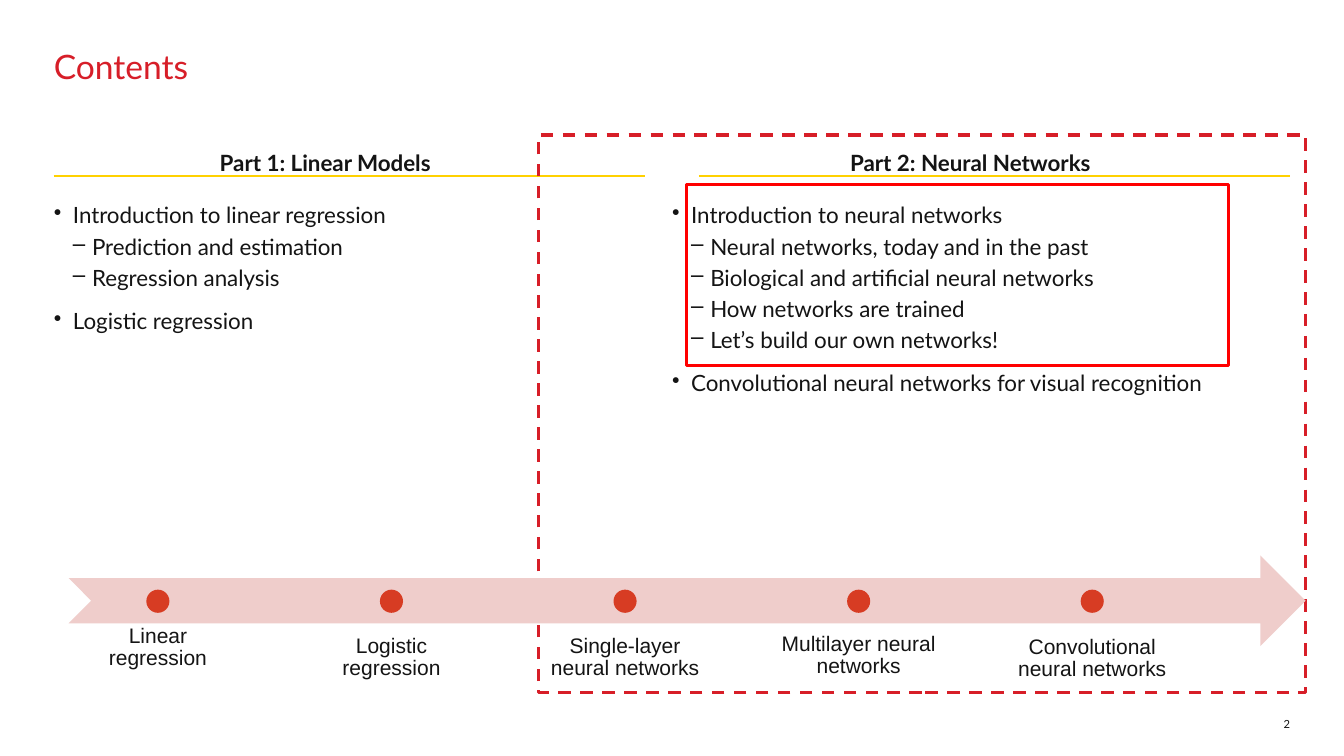
import dataclasses

import lxml.etree
import pptx
import pptx.dml.color
import pptx.enum.dml
import pptx.enum.shapes
import pptx.enum.text
import pptx.oxml.ns
import pptx.util

Kind = pptx.enum.shapes.MSO_SHAPE
Side = pptx.enum.text.PP_ALIGN
Edge = pptx.enum.text.MSO_ANCHOR
qn = pptx.oxml.ns.qn


@dataclasses.dataclass(frozen=True)
class Theme:
    """Colours, fonts and type sizes of the slide."""
    ink: str = "141414"
    brand: str = "D71E28"
    gold: str = "FFD100"
    band: str = "EFCDCB"
    dot: str = "D73C23"
    alert: str = "FF0000"
    main: str = "Lato"
    plain: str = "Arial"
    head: int = 24
    body: int = 16
    label: int = 15
    small: int = 8


class Deck:
    """Draws on one slide with a grid of 100 columns by 75 rows."""

    def __init__(self, theme):
        """Start a wide deck with one title-only slide."""
        self.theme = theme
        self.file = pptx.Presentation()
        self.file.slide_width = pptx.util.Inches(13.333)
        self.file.slide_height = pptx.util.Inches(7.5)
        self.slide = self.file.slides.add_slide(self.file.slide_layouts[5])
        self.shapes = self.slide.shapes

    def grid(self, x, y):
        """Turn columns and rows into lengths."""
        return int(self.file.slide_width * x / 100), int(self.file.slide_height * y / 75)

    def area(self, x, y, w, h):
        """Turn a grid box into left, top, width and height."""
        return self.grid(x, y) + self.grid(w, h)

    def tint(self, name):
        """Give a colour object."""
        return pptx.dml.color.RGBColor.from_string(name)

    def style(self, line, size, color=None, face=None, bold=False):
        """Format the runs of a paragraph."""
        for run in line.runs:
            run.font.size = pptx.util.Pt(size)
            run.font.name = face or self.theme.main
            run.font.bold = bold
            run.font.color.rgb = self.tint(color or self.theme.ink)

    def frame(self, shape, inset=0, edge=Edge.TOP):
        """Set wrapping, insets and anchor of a text frame."""
        frame = shape.text_frame
        frame.word_wrap = True
        frame.auto_size = pptx.enum.text.MSO_AUTO_SIZE.NONE
        frame.vertical_anchor = edge
        gap = pptx.util.Inches(inset)
        frame.margin_left = frame.margin_right = gap
        frame.margin_top = frame.margin_bottom = gap
        return frame

    def title(self, text, box):
        """Place the title."""
        shape = self.shapes.title
        shape.left, shape.top, shape.width, shape.height = self.area(*box)
        frame = self.frame(shape)
        frame.text = text
        line = frame.paragraphs[0]
        line.alignment = Side.LEFT
        line.line_spacing = 0.9
        self.style(line, self.theme.head, self.theme.brand)

    def text(self, text, box, size, side=Side.CENTER, edge=Edge.TOP,
             inset=0, space=1.0, face=None, bold=False):
        """Add a short text."""
        frame = self.frame(self.shapes.add_textbox(*self.area(*box)), inset, edge)
        frame.text = text
        line = frame.paragraphs[0]
        line.alignment = side
        line.line_spacing = space
        self.style(line, size, face=face, bold=bold)

    def list(self, items, box):
        """Add a list of (level, text) items with bullets."""
        frame = self.frame(self.shapes.add_textbox(*self.area(*box)))
        for n, (level, text) in enumerate(items):
            line = frame.add_paragraph() if n else frame.paragraphs[0]
            line.text = text
            line.level = level
            line.space_before = pptx.util.Pt((3 if level else 12) if n else 0)
            props = line._p.get_or_add_pPr()
            step = pptx.util.Inches(0.19)
            props.set("marL", str(step * (level + 1)))
            props.set("indent", str(-step))
            mark = lxml.etree.SubElement(props, qn("a:buChar"))
            mark.set("char", "•–"[level])
            self.style(line, self.theme.body)

    def shape(self, kind, box, fill=None, line=None, dash=False):
        """Add a filled or outlined shape."""
        shape = self.shapes.add_shape(kind, *self.area(*box))
        shape.shadow.inherit = False
        if fill:
            shape.fill.solid()
            shape.fill.fore_color.rgb = self.tint(fill)
        else:
            shape.fill.background()
        if line:
            shape.line.color.rgb = self.tint(line)
            shape.line.width = pptx.util.Pt(2.25)
            if dash:
                shape.line.dash_style = pptx.enum.dml.MSO_LINE.DASH
        else:
            shape.line.fill.background()

    def rule(self, x, y, w):
        """Add a level rule."""
        kind = pptx.enum.shapes.MSO_CONNECTOR.STRAIGHT
        rule = self.shapes.add_connector(kind, *self.grid(x, y), *self.grid(x + w, y))
        rule.line.color.rgb = self.tint(self.theme.gold)
        rule.line.width = pptx.util.Pt(1.5)
        lxml.etree.SubElement(rule._element.spPr, qn("a:effectLst"))


PARTS = [
    ("Part 1: Linear Models", 4, 4, [
        (0, "Introduction to linear regression"),
        (1, "Prediction and estimation"),
        (1, "Regression analysis"),
        (0, "Logistic regression"),
    ]),
    ("Part 2: Neural Networks", 52, 50, [
        (0, "Introduction to neural networks"),
        (1, "Neural networks, today and in the past"),
        (1, "Biological and artificial neural networks"),
        (1, "How networks are trained"),
        (1, "Let’s build our own networks!"),
        (0, "Convolutional neural networks for visual recognition"),
    ]),
]
STEPS = [
    ("Linear regression", 58.7, Edge.BOTTOM),
    ("Logistic regression", 61.8, Edge.TOP),
    ("Single-layer neural networks", 61.8, Edge.TOP),
    ("Multilayer neural networks", 59.5, Edge.BOTTOM),
    ("Convolutional neural networks", 61.9, Edge.TOP),
]


def main():
    """Build and save the slide."""
    theme = Theme()
    deck = Deck(theme)
    deck.title("Contents", (4, 5, 92, 11))
    for head, left, start, items in PARTS:
        deck.rule(left, 17.5, 44)
        deck.list(items, (start, 20, 44, 47.5))
        deck.text(head, (left + 6.4, 14.8, 27.6, 2.4), theme.body, bold=True)
    deck.text("2", (92, 70, 4, 2.5), theme.small, Side.RIGHT, Edge.BOTTOM)
    deck.shape(Kind.RECTANGLE, (40.05, 13.4, 57.1, 55.3), line=theme.brand, dash=True)
    deck.shape(Kind.NOTCHED_RIGHT_ARROW, (5.1, 55.1, 92.05, 9), fill=theme.band)
    for n, (name, top, edge) in enumerate(STEPS):
        mid = 11.75 + 17.38 * n
        deck.text(name, (mid - 6.64, top, 13.28, 9), theme.label, edge=edge,
                  inset=0.12, space=0.9, face=theme.plain)
        deck.shape(Kind.OVAL, (mid - 0.86, 58.5, 1.72, 2.3), fill=theme.dot)
    deck.shape(Kind.RECTANGLE, (51.08, 18.3, 40.35, 18), line=theme.alert)
    deck.file.save("out.pptx")


if __name__ == "__main__":
    main()
